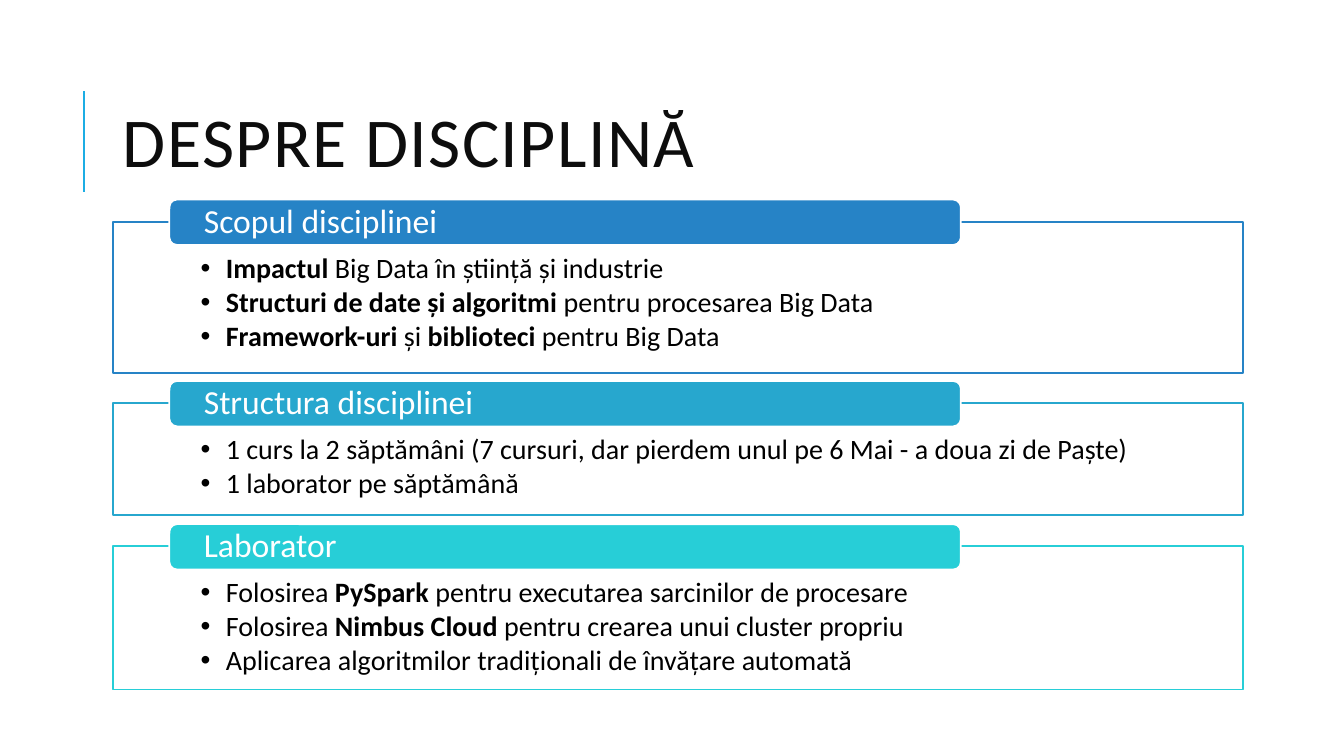
from lxml import etree
from pptx import Presentation
from pptx.dml.color import RGBColor
from pptx.enum.shapes import MSO_CONNECTOR, MSO_SHAPE
from pptx.enum.text import MSO_ANCHOR, PP_ALIGN
from pptx.oxml.ns import qn
from pptx.util import Inches, Pt

STRAIGHT = MSO_CONNECTOR.STRAIGHT
RECTANGLE = MSO_SHAPE.RECTANGLE
ROUNDED = MSO_SHAPE.ROUNDED_RECTANGLE
TOP, MIDDLE = MSO_ANCHOR.TOP, MSO_ANCHOR.MIDDLE
LEFT = PP_ALIGN.LEFT

BLACK = RGBColor(0x00, 0x00, 0x00)
INK = RGBColor(0x0D, 0x0D, 0x0D)
WHITE = RGBColor(0xFF, 0xFF, 0xFF)
ACCENT = RGBColor(0x1C, 0xAD, 0xE4)
BLUE = RGBColor(0x26, 0x83, 0xC6)
SKY = RGBColor(0x27, 0xA7, 0xCE)
TURQUOISE = RGBColor(0x27, 0xCE, 0xD7)

FONT = "Calibri"
BOLD_MARK = "**"
SECTIONS = [
    ("Scopul disciplinei", BLUE, 2.2, 1.5, [
        "**Impactul** Big Data în știință și industrie",
        "**Structuri de date și algoritmi **pentru procesarea Big Data",
        "**Framework-uri** și **biblioteci** pentru Big Data",
    ]),
    ("Structura disciplinei", SKY, 4.0, 1.11, [
        "1 curs la 2 săptămâni (7 cursuri, dar pierdem unul pe 6 Mai - a doua zi de Paște)",
        "1 laborator pe săptămână",
    ]),
    ("Laborator", TURQUOISE, 5.42, 1.42, [
        "Folosirea **PySpark **pentru executarea sarcinilor de procesare",
        "Folosirea** Nimbus Cloud **pentru crearea unui cluster propriu",
        "Aplicarea algoritmilor tradiționali de învățare automată",
    ]),
]


def style_run(run, size, color, bold=False):
    run.font.name = FONT
    run.font.size = Pt(size)
    run.font.color.rgb = color
    run.font.bold = bold


def set_frame(frame, anchor, left, top, right, bottom):
    frame.word_wrap = True
    frame.vertical_anchor = anchor
    frame.margin_left, frame.margin_top = Inches(left), Inches(top)
    frame.margin_right, frame.margin_bottom = Inches(right), Inches(bottom)


def add_panel(slide, kind, left, top, width, height, fill, line):
    panel = slide.shapes.add_shape(
        kind, Inches(left), Inches(top), Inches(width), Inches(height))
    panel.shadow.inherit = False
    panel.fill.solid()
    panel.fill.fore_color.rgb = fill
    panel.line.color.rgb = line
    panel.line.width = Pt(1.25)
    return panel


def write_bullet(paragraph, marked_text):
    properties = paragraph._p.get_or_add_pPr()
    properties.set("marL", str(Inches(0.25)))
    properties.set("indent", str(-Inches(0.25)))
    etree.SubElement(properties, qn("a:buFont")).set("typeface", "Arial")
    etree.SubElement(properties, qn("a:buChar")).set("char", "•")
    paragraph.alignment = LEFT
    paragraph.line_spacing = 0.9
    paragraph.space_after = Pt(2.7)
    for index, part in enumerate(marked_text.split(BOLD_MARK)):
        if part:
            run = paragraph.add_run()
            run.text = part
            style_run(run, 20, BLACK, bold=index % 2 == 1)


def add_section(slide, heading, color, top, height, bullets):
    body = add_panel(slide, RECTANGLE, 1.12, top, 11.21, height, WHITE, color)
    frame = body.text_frame
    set_frame(frame, TOP, 0.87, 0.32, 0.87, 0.16)
    for index, bullet in enumerate(bullets):
        paragraph = frame.add_paragraph() if index else frame.paragraphs[0]
        write_bullet(paragraph, bullet)

    tab = add_panel(slide, ROUNDED, 1.68, top - 0.22, 7.85, 0.45, color, WHITE)
    set_frame(tab.text_frame, MIDDLE, 0.32, 0, 0.32, 0)
    paragraph = tab.text_frame.paragraphs[0]
    paragraph.text = heading
    paragraph.alignment = LEFT
    paragraph.line_spacing = 0.9
    style_run(paragraph.runs[0], 24, WHITE)


def add_title(slide, text):
    title = slide.shapes.add_textbox(
        Inches(1.12), Inches(0.64), Inches(10.63), Inches(1.64))
    set_frame(title.text_frame, MIDDLE, 0.1, 0.05, 0.1, 0.05)
    paragraph = title.text_frame.paragraphs[0]
    paragraph.text = text
    paragraph.line_spacing = 0.8
    style_run(paragraph.runs[0], 50, INK)
    paragraph.runs[0]._r.get_or_add_rPr().set("spc", "100")


def add_title_rule(slide):
    rule = slide.shapes.add_connector(
        STRAIGHT, Inches(0.83), Inches(1.9), Inches(0.83), Inches(0.9))
    rule.line.color.rgb = ACCENT
    rule.line.width = Pt(1.5)
    etree.SubElement(rule._element.spPr, qn("a:effectLst"))


def main():
    deck = Presentation()
    deck.slide_width, deck.slide_height = Inches(13.33), Inches(7.5)
    slide = deck.slides.add_slide(deck.slide_layouts[6])
    add_title_rule(slide)
    add_title(slide, "DESPRE DISCIPLINĂ")
    for section in SECTIONS:
        add_section(slide, *section)
    deck.save("out.pptx")


if __name__ == "__main__":
    main()
